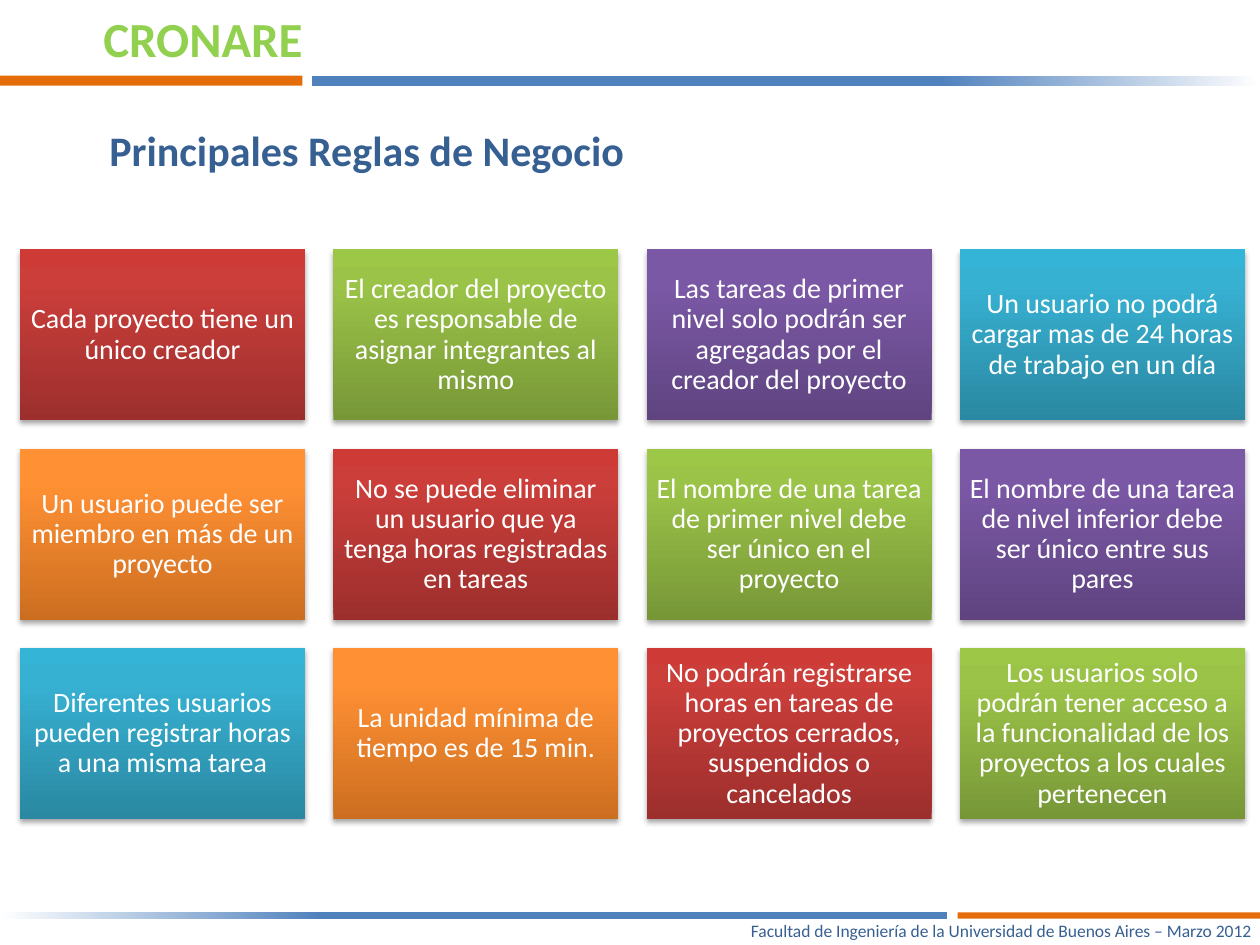
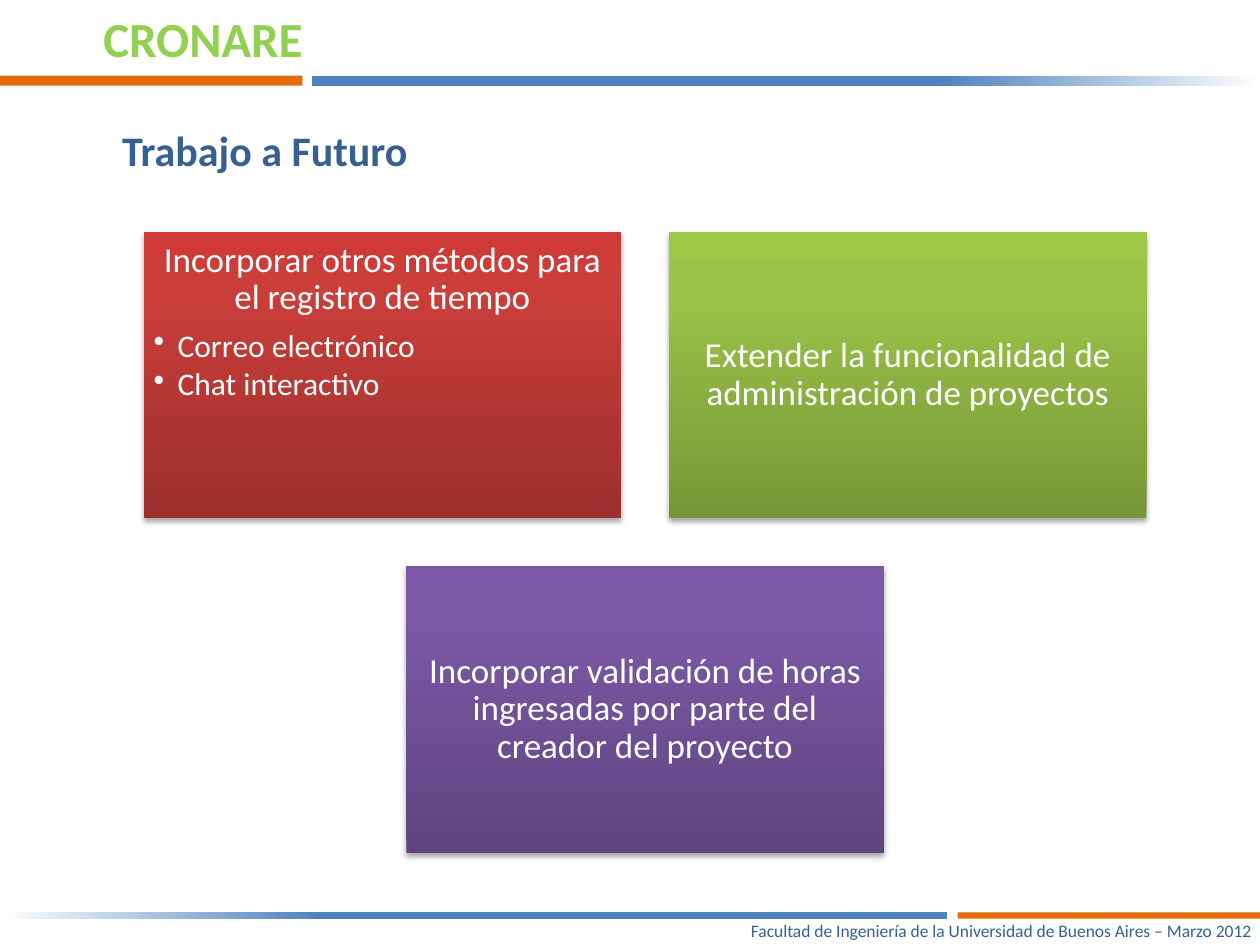
import pptx
import pptx.util
import pptx.dml.color
import pptx.enum.shapes
import pptx.enum.text
import pptx.oxml.ns
from lxml import etree

Inches, Pt = pptx.util.Inches, pptx.util.Pt
ALIGN = pptx.enum.text.PP_ALIGN
ANCHOR = pptx.enum.text.MSO_ANCHOR
qn = pptx.oxml.ns.qn


class Theme:
    font = "Calibri"
    white, navy, lime, orange = "FFFFFF", "376092", "92D050", "E46C0A"
    fade = [(0, "FFFFFF"), (34, "4F81BD"), (100, "4F81BD")]
    # Card gradients from bottom to top, used in turn
    cards = [
        [(0, "9C2F2D"), (80, "CB3E3A"), (100, "CE3B37")],
        [(0, "779737"), (80, "9BC348"), (100, "9DC746")],
        [(0, "5F4480"), (80, "7B58A6"), (100, "7C57A8")],
        [(0, "2A88A2"), (80, "37B1D2"), (100, "34B4D6")],
        [(0, "CC6E20"), (80, "FF9034"), (100, "FF9136")],
    ]
    brand, title, foot = 28, 24, 10


BRAND = "CRONARE"
FOOTER = "Facultad de Ingeniería de la Universidad de Buenos Aires – Marzo 2012"

RULES = [
    ["Cada proyecto tiene un único creador"],
    ["El creador del proyecto es responsable de asignar integrantes al mismo"],
    ["Las tareas de primer nivel solo podrán ser agregadas por el creador del proyecto"],
    ["Un usuario no podrá cargar mas de 24 horas de trabajo en un día"],
    ["Un usuario puede ser miembro en más de un proyecto"],
    ["No se puede eliminar un usuario que ya tenga horas registradas en tareas"],
    ["El nombre de una tarea de primer nivel debe ser único en el proyecto"],
    ["El nombre de una tarea de nivel inferior debe ser único entre sus pares"],
    ["Diferentes usuarios pueden registrar horas a una misma tarea"],
    ["La unidad mínima de tiempo es de 15 min."],
    ["No podrán registrarse horas en tareas de proyectos cerrados, suspendidos o cancelados"],
    ["Los usuarios solo podrán tener acceso a la funcionalidad de los proyectos "
     "a los cuales pertenecen"],
]
# The first line of a card is its heading, the others are bullets
PLANS = [
    ["Incorporar otros métodos para el registro de tiempo",
     "Correo electrónico", "Chat interactivo"],
    ["Extender la funcionalidad de administración de proyectos"],
    ["Incorporar validación de horas ingresadas por parte del creador del proyecto"],
]


# Basic parts
def rgb(code):
    return pptx.dml.color.RGBColor.from_string(code)


def add_run(par, text, size, color, bold=False):
    run = par.add_run()
    run.text = text
    run.font.name = Theme.font
    run.font.size = Pt(size)
    run.font.bold = bold
    run.font.color.rgb = rgb(color)


def add_text(slide, box, text, size, color, align, bold=False,
             anchor=ANCHOR.TOP, wrap=True):
    frame = slide.shapes.add_textbox(*map(Inches, box)).text_frame
    frame.word_wrap = wrap
    frame.vertical_anchor = anchor
    par = frame.paragraphs[0]
    par.alignment = align
    add_run(par, text, size, color, bold)


def add_rect(slide, box, color=None, stops=None, angle=0):
    rect = slide.shapes.add_shape(
        pptx.enum.shapes.MSO_SHAPE.RECTANGLE, *map(Inches, box))
    rect.shadow.inherit = False
    rect.line.fill.background()
    if stops:
        rect.fill.gradient()
        rect.fill.gradient_angle = angle
        items = rect.fill._fill._gradFill.find(qn("a:gsLst"))
        for item in list(items):
            items.remove(item)
        for place, code in stops:
            stop = etree.SubElement(items, qn("a:gs"), pos=str(place * 1000))
            etree.SubElement(stop, qn("a:srgbClr"), val=code)
    else:
        rect.fill.solid()
        rect.fill.fore_color.rgb = rgb(color)
    return rect


def add_shade(shape):
    effects = shape._element.spPr.find(qn("a:effectLst"))
    shade = etree.SubElement(
        effects, qn("a:outerShdw"), blurRad=str(Pt(3.1)), dist=str(Pt(1.8)),
        dir="5400000", rotWithShape="0")
    tint = etree.SubElement(shade, qn("a:srgbClr"), val="000000")
    etree.SubElement(tint, qn("a:alpha"), val="35000")


def add_bullet(par):
    props = par._p.get_or_add_pPr()
    props.set("marL", str(Inches(0.19)))
    props.set("indent", str(-Inches(0.19)))
    etree.SubElement(props, qn("a:buChar"), char="•")


# One card with its heading and bullets
def add_card(slide, box, lines, stops, size, pad):
    card = add_rect(slide, box, stops=stops, angle=90)
    add_shade(card)
    frame = card.text_frame
    frame.word_wrap = True
    frame.vertical_anchor = ANCHOR.TOP if len(lines) > 1 else ANCHOR.MIDDLE
    frame.margin_left = frame.margin_right = Inches(pad)
    frame.margin_top = frame.margin_bottom = Inches(pad)
    for i, line in enumerate(lines):
        par = frame.add_paragraph() if i else frame.paragraphs[0]
        par.line_spacing = 0.9
        par.alignment = ALIGN.LEFT if i else ALIGN.CENTER
        part = size - 2 if i else size
        par.space_after = Pt(part * (0.15 if i else 0.35))
        if i:
            add_bullet(par)
        add_run(par, line, part, Theme.white)


# Grid of cards: gaps are a tenth of a card, a short last row is centred
def add_grid(slide, left, top, width, cols, cards, size, pad):
    wide = width / (cols + 0.1 * (cols - 1))
    high, gap = 0.6 * wide, 0.1 * wide
    for i, lines in enumerate(cards):
        row, col = divmod(i, cols)
        count = min(cols, len(cards) - row * cols)
        shift = (cols - count) * (wide + gap) / 2
        box = (left + shift + col * (wide + gap), top + row * (high + gap),
               wide, high)
        add_card(slide, box, lines, Theme.cards[i % len(Theme.cards)], size, pad)


# Bands shared by all slides
def add_head(slide):
    add_rect(slide, (2.48, 0.6, 7.52, 0.08), stops=Theme.fade, angle=180)
    add_rect(slide, (0, 0.6, 2.4, 0.08), Theme.orange)
    add_text(slide, (0.42, 0.02, 2.08, 0.57), BRAND, Theme.brand, Theme.lime,
             ALIGN.RIGHT, bold=True)


def add_foot(slide):
    add_rect(slide, (0, 7.24, 7.52, 0.05), stops=Theme.fade, angle=0)
    add_rect(slide, (7.6, 7.24, 2.4, 0.05), Theme.orange)
    add_text(slide, (5.06, 7.19, 5.77, 0.39), FOOTER, Theme.foot, Theme.navy,
             ALIGN.CENTER, anchor=ANCHOR.MIDDLE)


def add_slide(deck, title, box):
    slide = deck.slides.add_slide(deck.slide_layouts[6])
    add_head(slide)
    add_foot(slide)
    add_text(slide, box, title, Theme.title, Theme.navy, ALIGN.LEFT,
             bold=True, wrap=False)
    return slide


deck = pptx.Presentation()
deck.slide_width, deck.slide_height = Inches(10), Inches(7.5)

# Business rules
slide = add_slide(deck, "Principales Reglas de Negocio", (0.77, 0.94, 4.33, 0.5))
add_grid(slide, 0.16, 1.98, 9.72, 4, RULES, size=16, pad=0.07)

# Future work
slide = add_slide(deck, "Trabajo a Futuro", (0.87, 0.94, 2.49, 0.5))
add_grid(slide, 1.14, 1.84, 7.96, 2, PLANS, size=20, pad=0.08)

deck.save("out.pptx")
